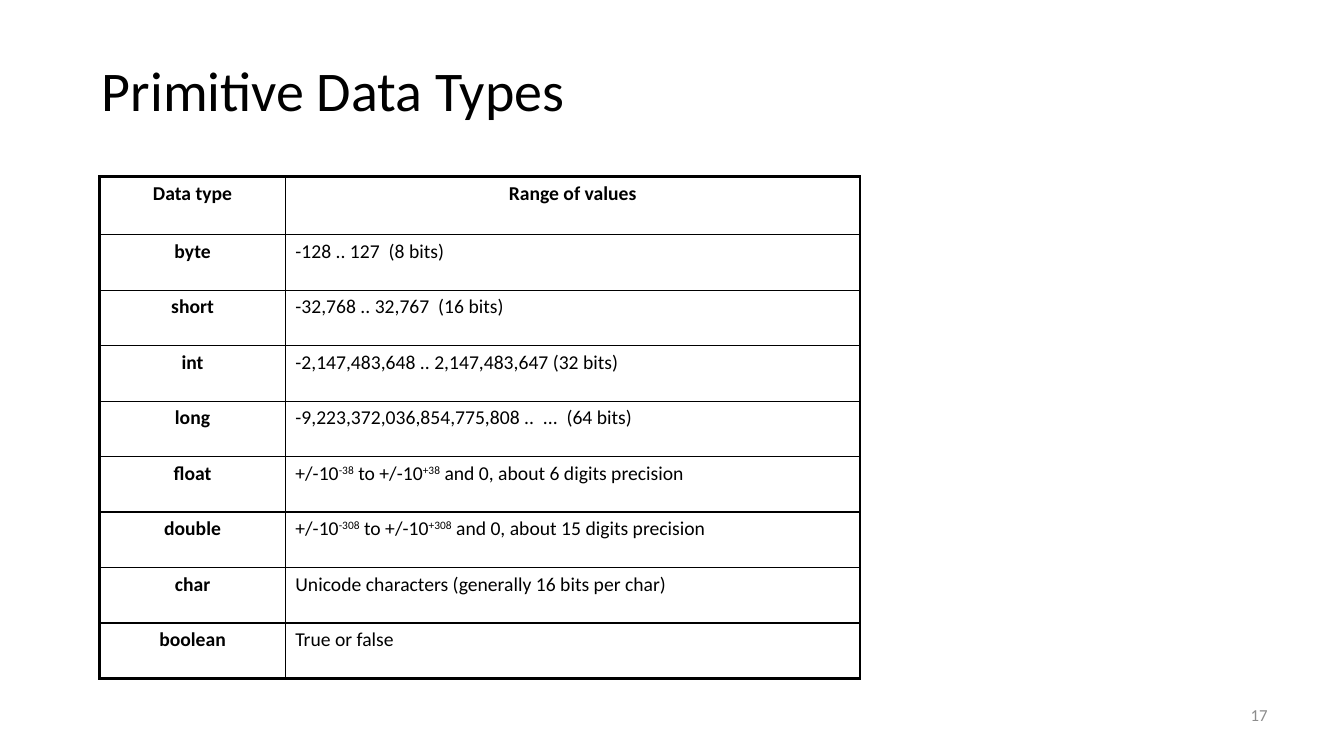
from dataclasses import dataclass

import lxml.etree
import pptx
import pptx.dml.color
import pptx.enum.text
import pptx.oxml.ns
import pptx.util

Inches = pptx.util.Inches
Pt = pptx.util.Pt
RGBColor = pptx.dml.color.RGBColor
Align = pptx.enum.text.PP_ALIGN
Anchor = pptx.enum.text.MSO_ANCHOR
qn = pptx.oxml.ns.qn

FONT = "Calibri"
BLACK = RGBColor(0x00, 0x00, 0x00)
GREY = RGBColor(0x8C, 0x8C, 0x8C)
OUTER_LINE = 2.25
INNER_LINE = 1
HEADER_HEIGHT = 0.58
ROW_HEIGHT = 0.55
COLUMN_WIDTHS = (1.84, 5.7)


@dataclass(frozen=True)
class DataType:
    """A table row; text between a pair of ^ marks is superscript."""
    name: str
    values: str


HEADER = DataType("Data type", "Range of values")
DATA_TYPES = [
    DataType("byte", "-128 .. 127  (8 bits)"),
    DataType("short", "-32,768 .. 32,767  (16 bits)"),
    DataType("int", "-2,147,483,648 .. 2,147,483,647 (32 bits)"),
    DataType("long", "-9,223,372,036,854,775,808 ..  ...  (64 bits)"),
    DataType("float", "+/-10^-38^ to +/-10^+38^ and 0, about 6 digits precision"),
    DataType("double", "+/-10^-308^ to +/-10^+308^ and 0, about 15 digits precision"),
    DataType("char", "Unicode characters (generally 16 bits per char)"),
    DataType("boolean", "True or false"),
]


def format_font(font, size: float, color: RGBColor, bold: bool = False) -> None:
    font.name = FONT
    font.size = Pt(size)
    font.bold = bold
    font.color.rgb = color


def write_cell(cell, text: str, align: Align, bold: bool) -> None:
    para = cell.text_frame.paragraphs[0]
    para.alignment = align
    space = lxml.etree.SubElement(para._p.get_or_add_pPr(), qn("a:spcBef"))
    lxml.etree.SubElement(space, qn("a:spcPct"), val="20000")
    for index, piece in enumerate(text.split("^")):
        span = para.add_run()
        span.text = piece
        format_font(span.font, 14, BLACK, bold)
        if index % 2:
            span._r.get_or_add_rPr().set("baseline", "30000")


def set_borders(cell, widths: dict[str, float]) -> None:
    """Draw each side's line, then clear the fill, in schema order."""
    properties = cell._tc.get_or_add_tcPr()
    for side, width in widths.items():
        line = lxml.etree.SubElement(properties, qn(f"a:ln{side}"), w=str(Pt(width)))
        fill = lxml.etree.SubElement(line, qn("a:solidFill"))
        lxml.etree.SubElement(fill, qn("a:srgbClr"), val=str(BLACK))
    cell.fill.background()


def add_title(page, text: str) -> None:
    title = page.shapes.title
    title.left, title.top = Inches(0.91), Inches(0.3)
    title.width, title.height = Inches(11.75), Inches(1.25)
    title.text_frame.text = text
    title.text_frame.vertical_anchor = Anchor.MIDDLE
    para = title.text_frame.paragraphs[0]
    para.alignment = Align.LEFT
    para.line_spacing = 0.9
    format_font(para.runs[0].font, 40, BLACK)


def add_type_table(page) -> None:
    rows = [HEADER, *DATA_TYPES]
    height = HEADER_HEIGHT + ROW_HEIGHT * len(DATA_TYPES)
    table = page.shapes.add_table(
        len(rows), len(COLUMN_WIDTHS), Inches(0.99), Inches(1.75),
        Inches(sum(COLUMN_WIDTHS)), Inches(height)).table
    table.first_row = False
    table.horz_banding = False
    for column, width in zip(table.columns, COLUMN_WIDTHS):
        column.width = Inches(width)
    last_row, last_column = len(rows) - 1, len(COLUMN_WIDTHS) - 1
    for r, data_type in enumerate(rows):
        table.rows[r].height = Inches(ROW_HEIGHT if r else HEADER_HEIGHT)
        for c, text in enumerate((data_type.name, data_type.values)):
            heading = r == 0 or c == 0
            cell = table.cell(r, c)
            write_cell(cell, text, Align.CENTER if heading else Align.JUSTIFY, heading)
            outer = {"L": c == 0, "R": c == last_column, "T": r == 0, "B": r == last_row}
            set_borders(cell, {side: OUTER_LINE if edge else INNER_LINE
                               for side, edge in outer.items()})


def add_page_number(page, number: int) -> None:
    box = page.shapes.add_textbox(Inches(9.56), Inches(6.83), Inches(3.11), Inches(0.52))
    frame = box.text_frame
    frame.word_wrap = True
    frame.vertical_anchor = Anchor.MIDDLE
    frame.text = str(number)
    para = frame.paragraphs[0]
    para.alignment = Align.RIGHT
    format_font(para.runs[0].font, 12, GREY)


def main() -> None:
    deck = pptx.Presentation()
    deck.slide_width, deck.slide_height = Inches(13.33), Inches(7.5)
    page = deck.slides.add_slide(deck.slide_layouts.get_by_name("Title Only"))
    add_page_number(page, 17)
    add_title(page, "Primitive Data Types")
    add_type_table(page)
    deck.save("out.pptx")


if __name__ == "__main__":
    main()
